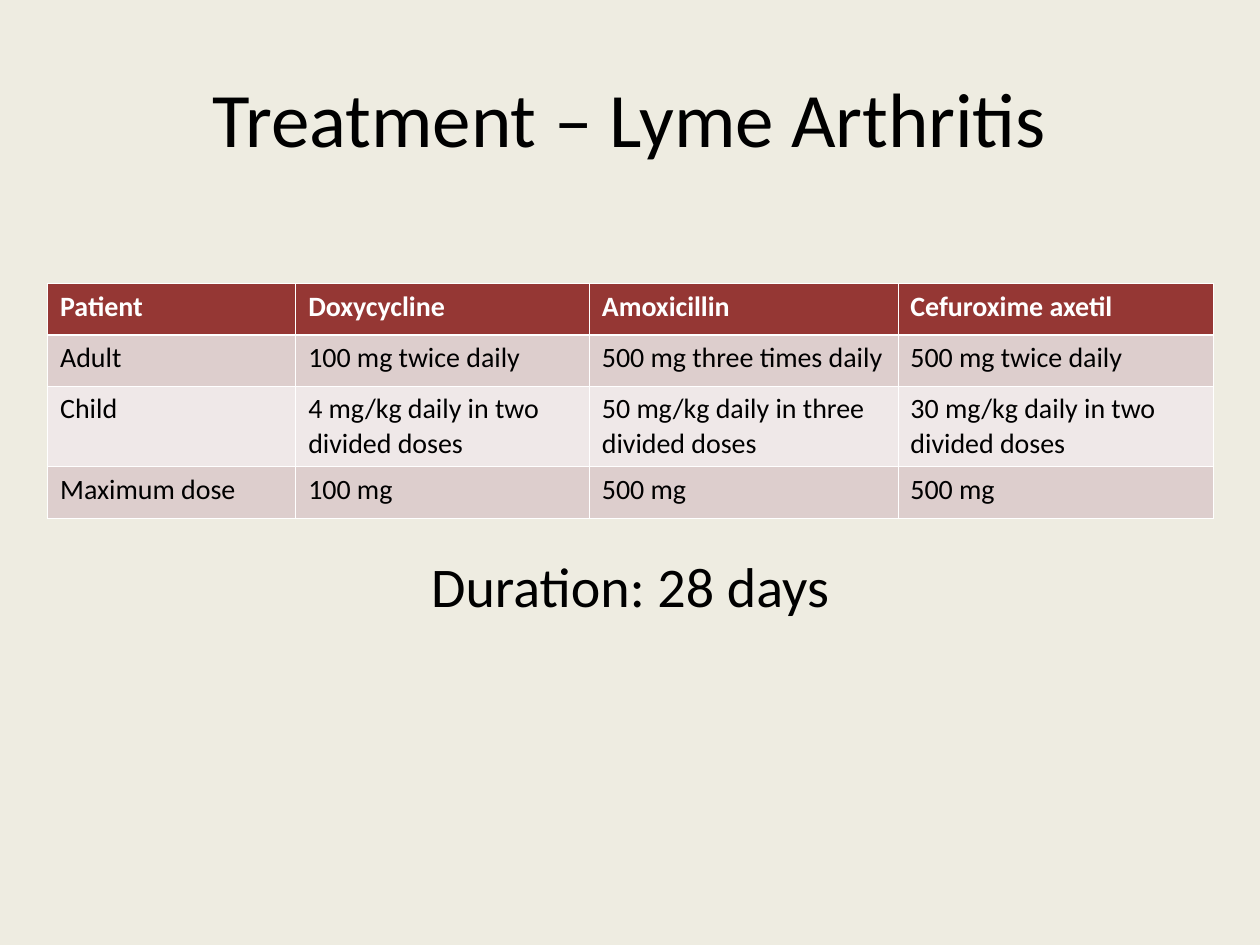
from dataclasses import dataclass

from lxml import etree
from pptx import Presentation
from pptx.dml.color import RGBColor
from pptx.enum.text import MSO_ANCHOR, PP_ALIGN
from pptx.oxml.ns import qn
from pptx.slide import Slide
from pptx.table import _Cell
from pptx.text.text import _Paragraph
from pptx.util import Cm, Pt

CENTER = PP_ALIGN.CENTER
TOP = MSO_ANCHOR.TOP
MIDDLE = MSO_ANCHOR.MIDDLE


@dataclass(frozen=True)
class Theme:
    font: str = "Calibri"
    background: str = "EEECE1"
    text: str = "000000"
    header_text: str = "FFFFFF"
    header_fill: str = "953734"
    odd_row_fill: str = "DDCECD"
    even_row_fill: str = "EFE8E8"
    border: str = "FFFFFF"
    thin_border: float = 0.45
    thick_border: float = 1.47
    title_size: int = 44
    duration_size: int = 32
    table_size: int = 16


@dataclass(frozen=True)
class CenteredText:
    text: str
    left: float
    top: float
    width: float
    height: float
    size: int
    anchor: MSO_ANCHOR


THEME = Theme()

CENTERED_TEXTS = (
    CenteredText("Treatment – Lyme Arthritis", 1.27, 0.76, 22.86, 3.18, THEME.title_size, MIDDLE),
    CenteredText("Duration: 28 days", 6.99, 11, 11.43, 2.2, THEME.duration_size, TOP),
)

TABLE_LEFT, TABLE_TOP = 0.96, 5.71
COLUMN_WIDTHS = (5, 5.92, 6.22, 6.35)
ROW_HEIGHTS = (1.04, 1.03, 1.63, 1.04)
DOSES = (
    ("Patient", "Doxycycline", "Amoxicillin", "Cefuroxime axetil"),
    ("Adult", "100 mg twice daily", "500 mg three times daily", "500 mg twice daily"),
    (
        "Child",
        "4 mg/kg daily in two divided doses",
        "50 mg/kg daily in three divided doses",
        "30 mg/kg daily in two divided doses",
    ),
    ("Maximum dose", "100 mg", "500 mg", "500 mg"),
)


def add_run(paragraph: _Paragraph, text: str, size: int, color: str, bold: bool = False) -> None:
    run = paragraph.add_run()
    run.text = text
    run.font.name = THEME.font
    run.font.size = Pt(size)
    run.font.bold = bold
    run.font.color.rgb = RGBColor.from_string(color)


def add_centered_text(slide: Slide, item: CenteredText) -> None:
    box = slide.shapes.add_textbox(Cm(item.left), Cm(item.top), Cm(item.width), Cm(item.height))
    frame = box.text_frame
    frame.word_wrap = True
    frame.vertical_anchor = item.anchor
    paragraph = frame.paragraphs[0]
    paragraph.alignment = CENTER
    add_run(paragraph, item.text, item.size, THEME.text)


def set_borders(cell: _Cell, row_index: int) -> None:
    """Draw thin cell borders, with a thick rule between header and body."""
    properties = cell._tc.get_or_add_tcPr()
    thick_side = {0: "lnB", 1: "lnT"}.get(row_index)
    for position, side in enumerate(("lnL", "lnR", "lnT", "lnB")):
        width = THEME.thick_border if side == thick_side else THEME.thin_border
        line = etree.Element(qn(f"a:{side}"), w=str(Pt(width)))
        fill = etree.SubElement(line, qn("a:solidFill"))
        etree.SubElement(fill, qn("a:srgbClr"), val=THEME.border)
        properties.insert(position, line)


def fill_cell(cell: _Cell, text: str, row_index: int) -> None:
    is_header = row_index == 0
    body_fill = THEME.odd_row_fill if row_index % 2 else THEME.even_row_fill
    cell.fill.solid()
    cell.fill.fore_color.rgb = RGBColor.from_string(THEME.header_fill if is_header else body_fill)
    color = THEME.header_text if is_header else THEME.text
    add_run(cell.text_frame.paragraphs[0], text, THEME.table_size, color, is_header)
    set_borders(cell, row_index)


def add_dose_table(slide: Slide) -> None:
    table = slide.shapes.add_table(
        len(ROW_HEIGHTS), len(COLUMN_WIDTHS), Cm(TABLE_LEFT), Cm(TABLE_TOP),
        Cm(sum(COLUMN_WIDTHS)), Cm(sum(ROW_HEIGHTS)),
    ).table
    for column, width in zip(table.columns, COLUMN_WIDTHS):
        column.width = Cm(width)
    for row_index, (row, height) in enumerate(zip(table.rows, ROW_HEIGHTS)):
        row.height = Cm(height)
        for cell, text in zip(row.cells, DOSES[row_index]):
            fill_cell(cell, text, row_index)


def main() -> None:
    presentation = Presentation()
    presentation.slide_width = Cm(25.4)
    presentation.slide_height = Cm(19.05)
    slide = presentation.slides.add_slide(presentation.slide_layouts[6])
    slide.background.fill.solid()
    slide.background.fill.fore_color.rgb = RGBColor.from_string(THEME.background)
    title, duration = CENTERED_TEXTS
    add_centered_text(slide, title)
    add_dose_table(slide)
    add_centered_text(slide, duration)
    presentation.save("out.pptx")


if __name__ == "__main__":
    main()
